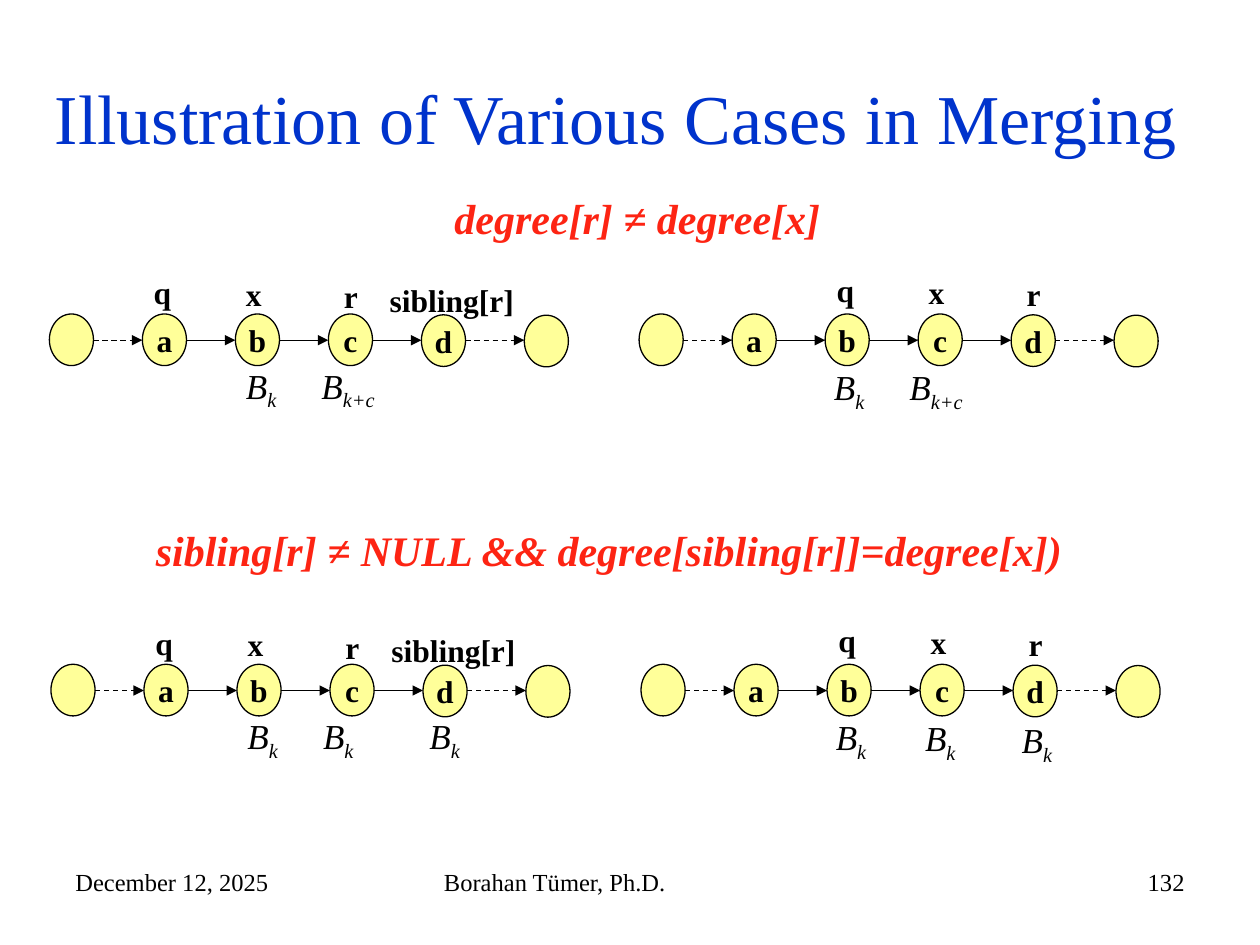
from pptx import Presentation
from pptx.dml.color import RGBColor
from pptx.enum.dml import MSO_LINE
from pptx.enum.shapes import MSO_CONNECTOR, MSO_SHAPE
from pptx.enum.text import MSO_ANCHOR, MSO_AUTO_SIZE, PP_ALIGN
from pptx.oxml.ns import qn
from pptx.util import Pt
from lxml.etree import SubElement

HEX = {"ink": "000000", "title": "0033CC", "case": "FD2413", "node": "FFFF99"}
FONT = "Times New Roman"
WIDE, HIGH = 25.2, 29.5
STEP, LAST = 53.15, 271.4
NODES = [(i * STEP, 0.5 * (i == 4), name)
         for i, name in enumerate(["", "a", "b", "c", "d"])] + [(LAST, 0.7, "")]

# Pointer labels: text, left and top from the chain's corner, width
MARKS = [("q", 52.6, -26.8, 24.5), ("x", 105.3, -25.8, 23.8),
         ("r", 161.2, -24.5, 22.3)]
NEXT = ("sibling[r]", 187.4, -22.4, 85.7)

# Chains: left, top, nodes the pointers moved on, degree labels
CHAINS = [
    (28.2, 179.4, 0, [("k", 105.2, 25.1), ("k+c", 148.4, 25.1)]),
    (365.2, 179.4, 1, [("k", 104.2, 26), ("k+c", 147.4, 26)]),
    (29.1, 379.6, 0, [("k", 105.2, 25.1), ("k", 148.4, 25.1),
                      ("k", 209.2, 25.1)]),
    (366.3, 379.6, 1, [("k", 104.2, 26), ("k", 155.2, 26.2),
                       ("k", 210.4, 27.4)]),
]


def color(name):
    return RGBColor.from_string(HEX[name])


def write(shape, text, size=18, ink="ink", bold=False, italic=False, sub="",
          align=PP_ALIGN.LEFT, anchor=MSO_ANCHOR.TOP, wrap=False):
    """Fill a shape with one line of text, ending in an optional subscript."""
    frame = shape.text_frame
    frame.auto_size = MSO_AUTO_SIZE.NONE
    frame.word_wrap = wrap
    frame.vertical_anchor = anchor
    para = frame.paragraphs[0]
    para.alignment = align
    for part in filter(None, (text, sub)):
        run = para.add_run()
        run.text = part
        font = run.font
        font.name, font.size = FONT, Pt(size)
        font.bold, font.italic = bold, italic
        font.color.rgb = color(ink)
    if sub:
        font._element.set("baseline", "-25000")


class Board:
    def __init__(self, deck):
        self.slide = deck.slides.add_slide(deck.slide_layouts[5])
        self.shapes = self.slide.shapes

    def title(self, text, x, y, w, h):
        head = self.shapes.title
        head.left, head.top, head.width, head.height = map(Pt, (x, y, w, h))
        write(head, text, size=40, ink="title", align=PP_ALIGN.CENTER,
              anchor=MSO_ANCHOR.MIDDLE, wrap=True)

    def label(self, text, x, y, w, h, **form):
        write(self.shapes.add_textbox(Pt(x), Pt(y), Pt(w), Pt(h)), text, **form)

    def node(self, name, x, y):
        oval = self.shapes.add_shape(MSO_SHAPE.OVAL, Pt(x), Pt(y),
                                     Pt(WIDE), Pt(HIGH))
        oval.shadow.inherit = False
        oval.fill.solid()
        oval.fill.fore_color.rgb = color("node")
        oval.line.color.rgb = color("ink")
        oval.line.width = Pt(0.75)
        if name:
            frame = oval.text_frame
            frame.margin_top = frame.margin_bottom = 0
            write(oval, name, bold=True, align=PP_ALIGN.CENTER,
                  anchor=MSO_ANCHOR.MIDDLE)

    def arrow(self, start, end, y, dash=False):
        link = self.shapes.add_connector(MSO_CONNECTOR.STRAIGHT, Pt(start),
                                         Pt(y), Pt(end), Pt(y))
        link.line.color.rgb = color("ink")
        link.line.width = Pt(0.75)
        if dash:
            link.line.dash_style = MSO_LINE.DASH
        SubElement(link.line._get_or_add_ln(), qn("a:tailEnd"), type="triangle")
        SubElement(link._element.spPr, qn("a:effectLst"))

    def chain(self, left, top, moved, trees):
        for dx, dy, name in NODES:
            self.node(name, left + dx, top + dy)
        for i, (a, b) in enumerate(zip(NODES, NODES[1:])):
            self.arrow(left + a[0] + WIDE, left + b[0], top + 15,
                       dash=i in (0, 4))
        for text, dx, dy, w in MARKS if moved else MARKS + [NEXT]:
            self.label(text, left + dx + moved * STEP, top + dy - moved * 1.2,
                       w, 28.8, bold=True)
        for sub, dx, dy in trees:
            self.label("B", left + dx, top + dy, 46.8 if sub == "k+c" else 32.4,
                       31, size=20, italic=True, sub=sub)


def main():
    deck = Presentation()
    deck.slide_width, deck.slide_height = Pt(720), Pt(540)
    board = Board(deck)
    board.title("Illustration of Various Cases in Merging", 20, 21.6, 664, 90)
    case = dict(size=24, ink="case", bold=True, italic=True)
    board.label("degree[r] ≠ degree[x]", 252.6, 106.6, 223, 36, **case)
    board.label("sibling[r] ≠ NULL && degree[sibling[r]]=degree[x])",
                82, 296, 560, 36, wrap=True, **case)
    for chain in CHAINS:
        board.chain(*chain)
    for text, x, w, align in [
            ("December 12, 2025", 36, 168, PP_ALIGN.LEFT),
            ("Borahan Tümer, Ph.D.", 246.6, 228, PP_ALIGN.LEFT),
            ("132", 516, 168, PP_ALIGN.RIGHT)]:
        board.label(text, x, 492, w, 37.5, size=14, align=align, wrap=True)
    deck.save("out.pptx")


if __name__ == "__main__":
    main()
